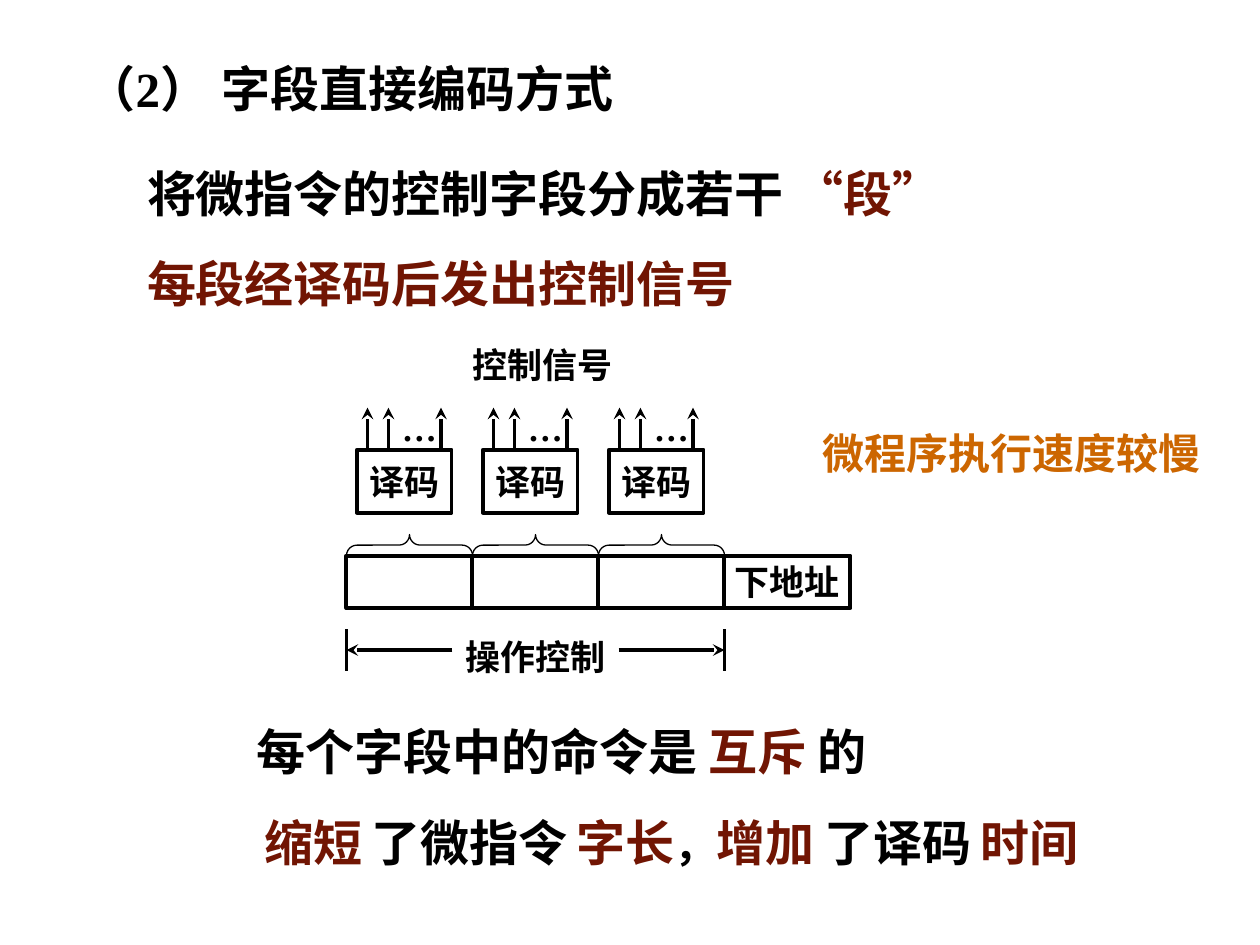
from pptx import Presentation
from pptx.util import Pt
from pptx.dml.color import RGBColor
from pptx.enum.shapes import MSO_SHAPE, MSO_CONNECTOR
from pptx.enum.text import PP_ALIGN, MSO_ANCHOR, MSO_AUTO_SIZE
from pptx.oxml.ns import qn
from lxml.etree import SubElement

FONT = "Times New Roman"
HUES = {"ink": "000000", "red": "711503", "gold": "CC6600"}

# Text boxes: place, wrap, paragraphs of (text, size, colour) runs
TEXTS = [
    ((42.5, 26, 623.5, 46), True, [
        [("（2）", 28, "ink"), (" ", 32, "ink"), ("字段直接编码方式", 28, "ink")]]),
    ((77, 90, 601, 92), True, [
        [("将微指令的控制字段分成若干 ", 28, "ink"), ("“段”", 28, "red")],
        [("每段经译码后发出控制信号", 28, "red")]]),
    ((139.75, 409, 414, 41), True, [
        [("每个字段中的命令是 ", 28, "ink"), ("互斥 ", 28, "red"), ("的", 28, "ink")]]),
    ((144, 461, 479.5, 41), False, [
        [("缩短", 28, "red"), (" ", 24, "red"), ("了微指令", 28, "ink"),
         (" ", 24, "ink"), ("字长", 28, "red"), ("，", 24, "ink"),
         ("增加", 28, "red"), (" ", 24, "red"), ("了译码", 28, "ink"),
         (" ", 24, "ink"), ("时间", 28, "red")]]),
    ((463, 240.5, 230.5, 36), False, [[("微程序执行速度较慢", 24, "gold")]]),
    ((259, 359.5, 94.5, 31.5), False, [[("操作控制", 20, "ink")]]),
    ((263, 192.5, 94.5, 31.5), False, [[("控制信号", 20, "ink")]]),
]
FIELDS = ["", "", "", "下地址"]
DECODE, DOTS = "译码", "…"

# Diagram grid
LEFT, STEP, COUNT = 198, 72, 3
ROW, HIGH = 317.5, 30
BOX, TIP = 257, 233
PINS = (12, 24, 54)
RIGHT = LEFT + COUNT * STEP
SPAN, GAP = 371.5, 60.5

deck = Presentation()
deck.slide_width, deck.slide_height = Pt(720), Pt(540)
slide = deck.slides.add_slide(deck.slide_layouts[6])
shapes = slide.shapes


def hue(name):
    return RGBColor.from_string(HUES[name])


def write(para, runs):
    for text, size, name in runs:
        run = para.add_run()
        run.text = text
        font = run.font
        font.name, font.size, font.bold = FONT, Pt(size), True
        font.color.rgb = hue(name)


def label(place, wrap, paras):
    frame = shapes.add_textbox(*map(Pt, place)).text_frame
    frame.word_wrap = wrap
    frame.auto_size = MSO_AUTO_SIZE.SHAPE_TO_FIT_TEXT
    for i, runs in enumerate(paras):
        para = frame.add_paragraph() if i else frame.paragraphs[0]
        if i:
            para.space_before = Pt(17.5)
        write(para, runs)


def block(kind, place, width=2.25, text=""):
    shape = shapes.add_shape(kind, *map(Pt, place))
    shape.shadow.inherit = False
    shape.fill.background()
    shape.line.color.rgb = hue("ink")
    shape.line.width = Pt(width)
    if text:
        frame = shape.text_frame
        frame.word_wrap = False
        frame.vertical_anchor = MSO_ANCHOR.MIDDLE
        para = frame.paragraphs[0]
        para.alignment = PP_ALIGN.CENTER
        write(para, [(text, 20, "ink")])
    return shape


def rule(x1, y1, x2, y2, arrow=False):
    line = shapes.add_connector(MSO_CONNECTOR.STRAIGHT, *map(Pt, (x1, y1, x2, y2)))
    line.line.color.rgb = hue("ink")
    line.line.width = Pt(2.25)
    if arrow:
        SubElement(line.line._get_or_add_ln(), qn("a:tailEnd"), type="stealth")
    SubElement(line._element.spPr, qn("a:effectLst"))


# Headings and remarks
for item in TEXTS:
    label(*item)

# Decoders with their output signals and braces
for i in range(COUNT):
    x = LEFT + i * STEP
    block(MSO_SHAPE.RECTANGLE, (x + 6, BOX, 54, 36), text=DECODE)
    for pin in PINS:
        rule(x + pin, BOX, x + pin, TIP, True)
    label((x + 24.5, 228.5, 34.5, 31.5), False, [[(DOTS, 20, "ink")]])
    # The brace is upright before its quarter turn
    brace = block(MSO_SHAPE.LEFT_BRACE,
                  (x + STEP / 2 - 6, ROW - 6 - STEP / 2, 12, STEP), 0.75)
    brace.adjustments[0] = 0.5
    brace.rotation = 90

# Instruction word
for i, text in enumerate(FIELDS):
    block(MSO_SHAPE.RECTANGLE, (LEFT + i * STEP, ROW, STEP, HIGH), text=text)

# Span of the control part
for end, side in ((LEFT, 1), (RIGHT, -1)):
    rule(end, SPAN - 12, end, SPAN + 12)
    rule(end + side * GAP, SPAN, end, SPAN, True)

deck.save("out.pptx")
